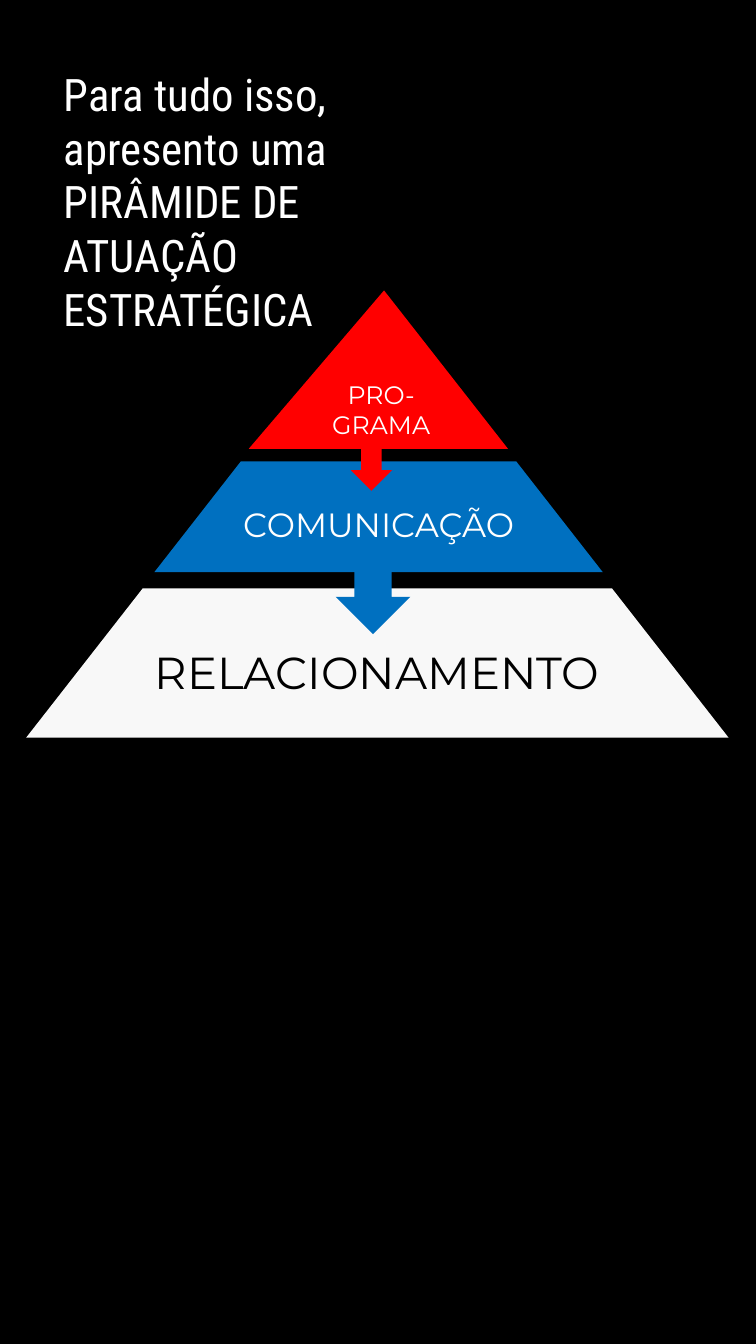
import pptx
import pptx.dml.color
import pptx.enum.shapes
import pptx.enum.text
import pptx.util

Cm = pptx.util.Cm
Pt = pptx.util.Pt
RGBColor = pptx.dml.color.RGBColor
MSO_SHAPE = pptx.enum.shapes.MSO_SHAPE
PP_ALIGN = pptx.enum.text.PP_ALIGN
MSO_ANCHOR = pptx.enum.text.MSO_ANCHOR

BLACK = RGBColor(0x00, 0x00, 0x00)
WHITE = RGBColor(0xFF, 0xFF, 0xFF)
OFF_WHITE = RGBColor(0xF8, 0xF8, 0xF8)
BLUE = RGBColor(0x00, 0x70, 0xC0)
RED = RGBColor(0xFF, 0x00, 0x00)

TITLE_FONT = "Roboto Condensed"
LAYER_FONT = "Montserrat"
TITLE_LINES = ["Para tudo isso, apresento uma", "PIRÂMIDE DE ATUAÇÃO", "ESTRATÉGICA"]

# Boxes are left, top, width, height in cm, inside the pyramid's box.
LAYERS = [
    (MSO_SHAPE.TRAPEZOID, 0.781, (0, 7.51, 17.7, 3.76), OFF_WHITE, ["RELACIONAMENTO"], 32, BLACK),
    (MSO_SHAPE.TRAPEZOID, 0.781, (3.23, 4.31, 11.3, 2.79), BLUE, ["COMUNICAÇÃO"], 24, WHITE),
    (MSO_SHAPE.ISOSCELES_TRIANGLE, 0.522, (5.61, 0, 6.53, 3.99), RED, ["PRO-", "GRAMA"], 18, WHITE),
]
ARROWS = [
    ((8.18, 3.7, 1.04, 1.35), RED),
    ((7.8, 6.55, 1.88, 2.11), BLUE),
]


def write_lines(tf, lines, font, size, color, align):
    tf.word_wrap = True
    for i, line in enumerate(lines):
        p = tf.paragraphs[0] if i == 0 else tf.add_paragraph()
        p.alignment = align
        r = p.add_run()
        r.text = line
        r.font.name = font
        r.font.size = Pt(size)
        r.font.color.rgb = color


def add_flat_shape(s, kind, origin, box, fill):
    left, top, width, height = box
    sp = s.shapes.add_shape(kind, Cm(origin[0] + left), Cm(origin[1] + top), Cm(width), Cm(height))
    sp.shadow.inherit = False
    sp.fill.solid()
    sp.fill.fore_color.rgb = fill
    sp.line.fill.background()
    return sp


def add_title(s, left, top, width, height):
    title = s.shapes.title
    title.left, title.top, title.width, title.height = Cm(left), Cm(top), Cm(width), Cm(height)
    tf = title.text_frame
    tf.auto_size = pptx.enum.text.MSO_AUTO_SIZE.SHAPE_TO_FIT_TEXT
    tf.vertical_anchor = MSO_ANCHOR.TOP
    write_lines(tf, TITLE_LINES, TITLE_FONT, 32, WHITE, PP_ALIGN.LEFT)


def add_pyramid(s, left, top):
    origin = (left, top)
    for kind, slant, box, fill, lines, size, color in LAYERS:
        sp = add_flat_shape(s, kind, origin, box, fill)
        sp.adjustments[0] = slant
        sp.text_frame.vertical_anchor = MSO_ANCHOR.MIDDLE
        write_lines(sp.text_frame, lines, LAYER_FONT, size, color, PP_ALIGN.CENTER)
    for box, fill in ARROWS:
        add_flat_shape(s, MSO_SHAPE.DOWN_ARROW, origin, box, fill)


def main():
    prs = pptx.Presentation()
    prs.slide_width, prs.slide_height = Cm(19.05), Cm(33.87)
    s = prs.slides.add_slide(prs.slide_layouts[5])
    s.background.fill.solid()
    s.background.fill.fore_color.rgb = BLACK
    add_title(s, 1.35, 1.55, 9.14, 7.09)
    add_pyramid(s, 0.66, 7.32)
    prs.save("out.pptx")


if __name__ == "__main__":
    main()
